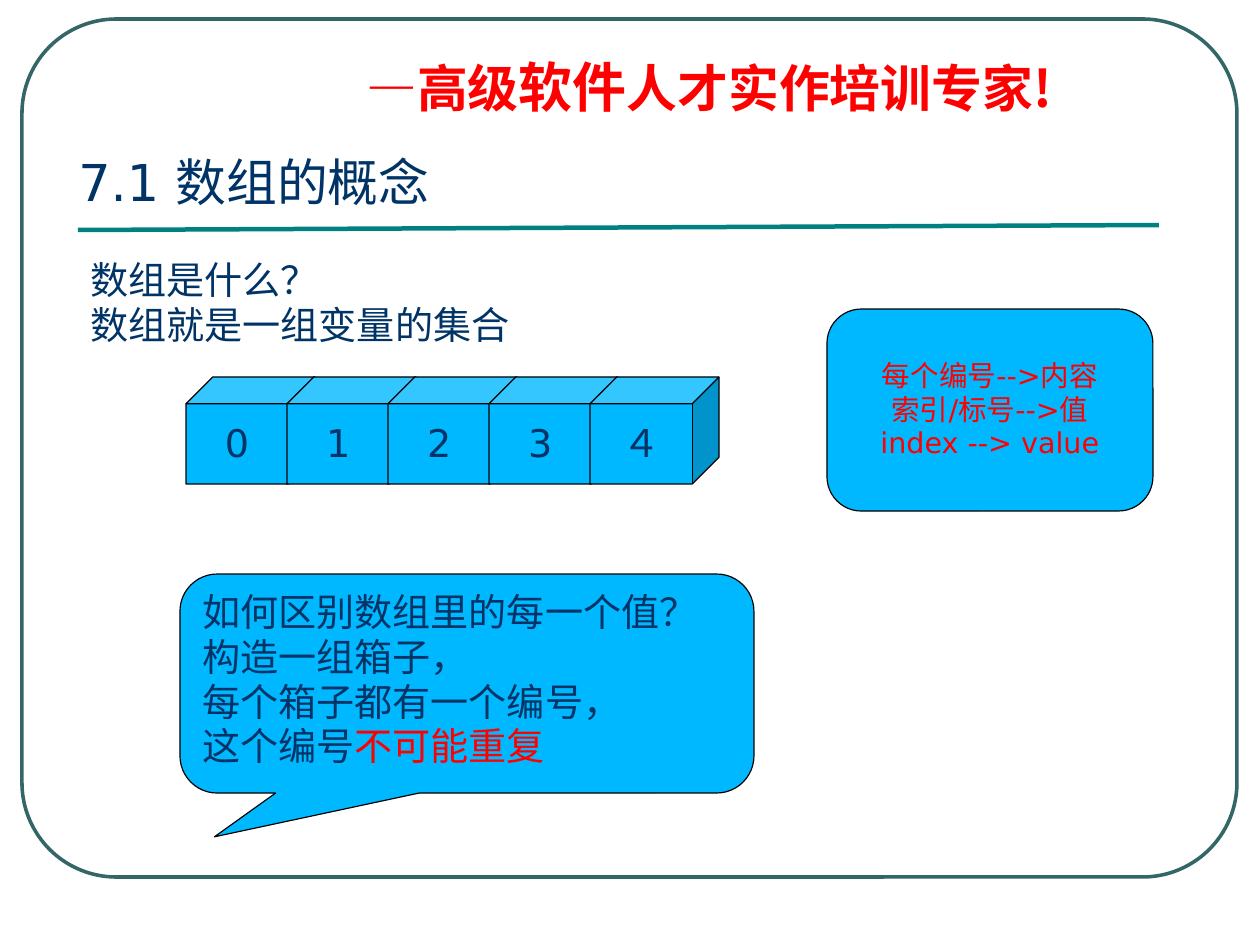
from dataclasses import dataclass

from lxml import etree
from pptx import Presentation
from pptx import util as u
from pptx.dml.color import RGBColor
from pptx.enum import shapes, text
from pptx.oxml.ns import qn

PX = 8000  # EMU in one px: 1260 by 945 px is 28 by 21 cm


@dataclass(frozen=True)
class Theme:
    latin: str = "DejaVu Sans"
    cjk: str = "Noto Sans CJK SC"
    navy: str = "003366"
    red: str = "FF0000"
    sky: str = "00B8FF"
    black: str = "000000"
    frame: str = "336666"
    rule: str = "008080"
    title: int = 32
    slogan_accent: int = 34
    body: int = 24
    note: int = 18
    thin: float = 0.75
    frame_width: float = 2.25
    rule_width: float = 2.83


THEME = Theme()


def px(*lengths):
    return [u.Emu(length * PX) for length in lengths]


def apply(target, formats):
    for name, value in formats.items():
        setattr(target, name, value)


def write(frame, lines, size, color, align="LEFT", anchor="TOP", spacing=0.98,
          latin=THEME.latin, bold=False):
    """Fill a text frame; each line is a list of (words, font overrides)."""
    apply(frame, {
        "word_wrap": True, "auto_size": text.MSO_AUTO_SIZE.NONE,
        "vertical_anchor": getattr(text.MSO_ANCHOR, anchor),
        "margin_left": u.Inches(0.1), "margin_right": u.Inches(0.1),
        "margin_top": u.Inches(0.05), "margin_bottom": u.Inches(0.05)})
    for index, line in enumerate(lines):
        paragraph = frame.add_paragraph() if index else frame.paragraphs[0]
        apply(paragraph, {
            "alignment": getattr(text.PP_ALIGN, align), "line_spacing": spacing,
            "space_before": u.Pt(0), "space_after": u.Pt(0)})
        for words, overrides in line:
            run = paragraph.add_run()
            run.text = words
            look = {"size": size, "color": color} | overrides
            apply(run.font, {"name": latin, "size": u.Pt(look["size"]), "bold": bold})
            run.font.color.rgb = RGBColor.from_string(look["color"])
            east_asian = etree.SubElement(run.font._element, qn("a:ea"))
            east_asian.set("typeface", THEME.cjk)


def plain(*lines):
    return [[(line, {})] for line in lines]


def set_line(line, color, width):
    line.color.rgb = RGBColor.from_string(color)
    line.width = u.Pt(width)


def add_text(canvas, box, lines, size, color, **formats):
    write(canvas.add_textbox(*px(*box)).text_frame, lines, size, color, **formats)


def add_block(canvas, kind, box, adjustments, fill=THEME.sky,
              line=(THEME.black, THEME.thin)):
    block = canvas.add_shape(kind, *px(*box))
    block.shadow.inherit = False
    for index, value in enumerate(adjustments):
        block.adjustments[index] = value
    if fill:
        block.fill.solid()
        block.fill.fore_color.rgb = RGBColor.from_string(fill)
    else:
        block.fill.background()
    set_line(block.line, *line)
    return block


def add_rule(canvas, ends):
    rule = canvas.add_connector(shapes.MSO_CONNECTOR.STRAIGHT, *px(*ends))
    set_line(rule.line, THEME.rule, THEME.rule_width)
    etree.SubElement(rule._element.spPr, qn("a:effectLst"))


def add_title(slide, box, words):
    title = slide.shapes.title
    apply(title, dict(zip(("left", "top", "width", "height"), px(*box))))
    write(title.text_frame, plain(words), THEME.title, THEME.navy, anchor="MIDDLE")


def add_array(canvas, labels):
    """Draw a row of numbered boxes, each overlapping the one before."""
    row = canvas.add_group_shape().shapes
    for index, label in enumerate(labels):
        cell = add_block(row, shapes.MSO_SHAPE.CUBE,
                         (186 + index * 101, 377, 129, 107), [0.25])
        write(cell.text_frame, plain(label), THEME.body, THEME.navy,
              align="CENTER", anchor="MIDDLE")


def main():
    deck = Presentation()
    deck.slide_width, deck.slide_height = px(1260, 945)
    slide = deck.slides.add_slide(deck.slide_layouts[5])
    canvas = slide.shapes
    kinds = shapes.MSO_SHAPE

    slogan = [[("—高级", {}), ("软件", {"size": THEME.slogan_accent}),
               ("人才实作培训专家!", {})]]
    add_text(canvas, (355, 55, 788, 70), slogan, THEME.title, THEME.red,
             spacing=0.9, latin=THEME.cjk, bold=True)
    add_block(canvas, kinds.ROUNDED_RECTANGLE, (22, 19, 1215, 858), [0.11],
              fill=None, line=(THEME.frame, THEME.frame_width))
    add_rule(canvas, (78, 230, 1159, 225))
    add_title(slide, (67, 141, 889, 85), "7.1 数组的概念")

    add_text(canvas, (79, 253, 820, 102),
             plain("数组是什么？", "数组就是一组变量的集合"), THEME.body, THEME.navy)
    add_array(canvas, "0123４")

    question = add_block(canvas, kinds.ROUNDED_RECTANGULAR_CALLOUT,
                         (180, 574, 574, 219), [-0.44, 0.7, 0.17])
    answer = plain("如何区别数组里的每一个值？", "构造一组箱子，", "每个箱子都有一个编号，")
    answer.append([("这个编号", {}), ("不可能重复", {"color": THEME.red})])
    write(question.text_frame, answer, THEME.body, THEME.navy)

    mapping = add_block(canvas, kinds.ROUNDED_RECTANGLE, (827, 309, 326, 202), [0.17])
    write(mapping.text_frame,
          plain("每个编号-->内容", "索引/标号-->值", "index --> value"),
          THEME.note, THEME.red, align="CENTER", anchor="MIDDLE")

    deck.save("out.pptx")


if __name__ == "__main__":
    main()
